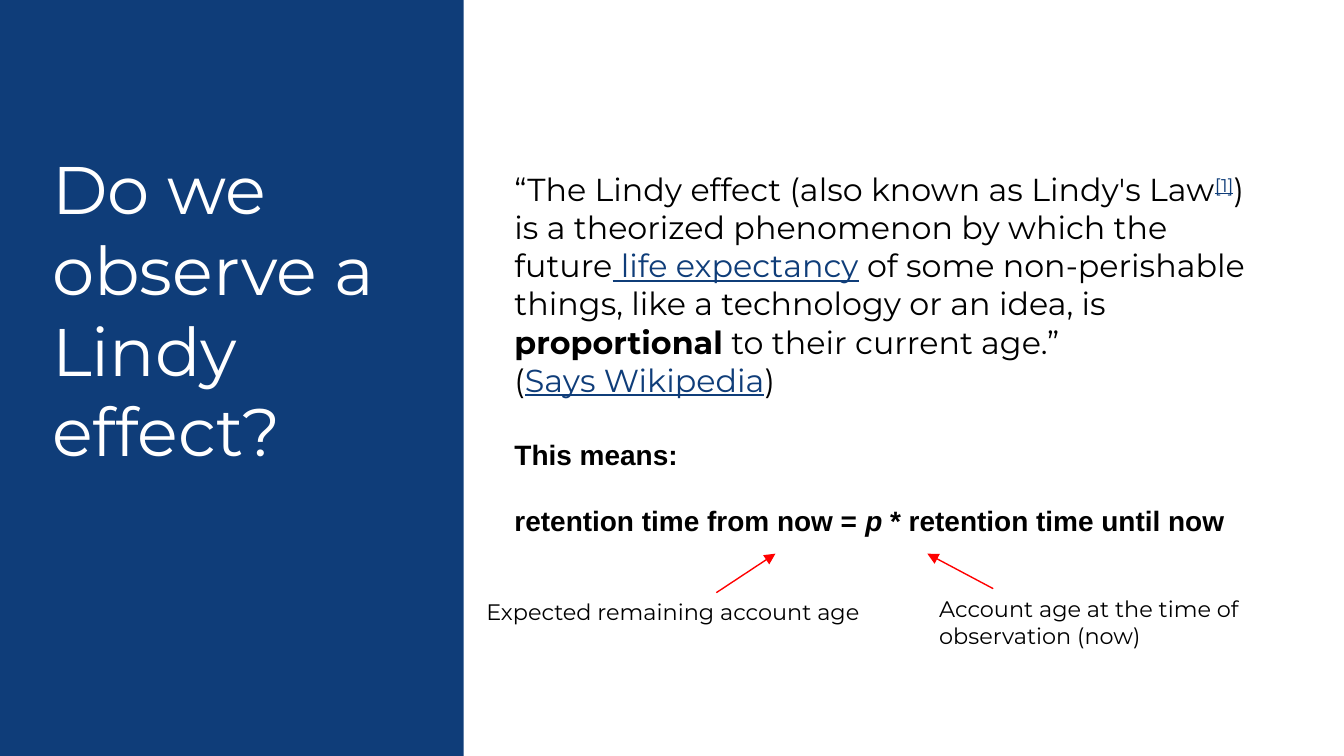
import pptx
import pptx.util
import pptx.dml.color
import pptx.enum.shapes
import pptx.enum.text
import pptx.oxml.ns
import lxml.etree

HUES = {"navy": "0F3D79", "white": "FFFFFF", "black": "000000", "red": "FF0000"}
WIDE = 10
HIGH = WIDE * 9 / 16
LINK = {"hue": "navy", "under": True}

TITLE = [{"runs": [("Do we observe a Lindy effect?", {})]}]
BODY = [
    {"runs": [
        ("“The Lindy effect (also known as Lindy's Law", {}),
        ("[1]", {**LINK, "raised": True}),
        (") is a theorized phenomenon by which the future", {}),
        (" life expectancy", LINK),
        (" of some non-perishable things, like a technology or an idea, is ", {}),
        ("proportional", {"bold": True}),
        (" to their current age.”", {}),
    ]},
    {"runs": [("(", {}), ("Says Wikipedia", LINK), (")", {})]},
    {"gap": 20.7, "size": 15, "face": "Arial", "bold": True,
     "runs": [("This means:", {})]},
    {"gap": 17.5, "size": 15, "face": "Arial", "bold": True,
     "runs": [("retention time from now = ", {}), ("p", {"slant": True}),
              (" * retention time until now", {})]},
]
NOTES = [
    ("Expected remaining account age", (3.52, 4.35, 3.39, 0.4), (5.33, 4.41, 5.77, 4.12)),
    ("Account age at the time of observation (now)", (6.89, 4.33, 2.9, 0.6),
     (7.39, 4.38, 6.9, 4.12)),
]


def inch(*sides):
    return [pptx.util.Inches(side) for side in sides]


def tint(name):
    return pptx.dml.color.RGBColor.from_string(HUES[name])


def style(run, size=12, face="Montserrat", hue="black", bold=False,
          slant=False, under=False, raised=False):
    font = run.font
    font.size, font.name = pptx.util.Pt(size), face
    font.bold, font.italic, font.underline = bold, slant, under
    font.color.rgb = tint(hue)
    if raised:
        run._r.get_or_add_rPr().set("baseline", "30000")


def write(slide, paras, place, anchor="TOP", foot=0.1, **base):
    frame = slide.shapes.add_textbox(*inch(*place)).text_frame
    frame.word_wrap = True
    frame.vertical_anchor = pptx.enum.text.MSO_ANCHOR[anchor]
    frame.margin_left, frame.margin_top, frame.margin_right, frame.margin_bottom = inch(
        0.1, 0.1, 0.1, foot)
    for row, para in enumerate(paras):
        line = frame.add_paragraph() if row else frame.paragraphs[0]
        if "gap" in para:
            line.space_before = pptx.util.Pt(para["gap"])
        look = {key: val for key, val in para.items() if key not in ("runs", "gap")}
        for words, extra in para["runs"]:
            run = line.add_run()
            run.text = words
            style(run, **{**base, **look, **extra})


def arrow(slide, ends):
    line = slide.shapes.add_connector(pptx.enum.shapes.MSO_CONNECTOR.STRAIGHT, *inch(*ends))
    line.line.color.rgb = tint("red")
    line.line.width = pptx.util.Pt(0.75)
    name = pptx.oxml.ns.qn
    tip = lxml.etree.SubElement(line.line._get_or_add_ln(), name("a:tailEnd"))
    tip.set("type", "triangle")
    lxml.etree.SubElement(line._element.spPr, name("a:effectLst"))


def main():
    deck = pptx.Presentation()
    deck.slide_width, deck.slide_height = inch(WIDE, HIGH)
    slide = deck.slides.add_slide(deck.slide_layouts[6])
    slide.background.fill.solid()
    slide.background.fill.fore_color.rgb = tint("navy")

    split = 0.345 * WIDE
    panel = slide.shapes.add_shape(
        pptx.enum.shapes.MSO_SHAPE.RECTANGLE, *inch(split, 0, WIDE - split, HIGH))
    panel.shadow.inherit = False
    panel.fill.solid()
    panel.fill.fore_color.rgb = tint("white")
    panel.line.fill.background()

    write(slide, TITLE, (0.29, 0.13, 2.94, 3.47), anchor="BOTTOM", size=36, hue="white")
    write(slide, BODY, (3.73, 0.77, 5.64, 4.04), anchor="MIDDLE", foot=0.42, size=17)
    for words, place, ends in NOTES:
        arrow(slide, ends)
        write(slide, [{"runs": [(words, {})]}], place)
    deck.save("out.pptx")


if __name__ == "__main__":
    main()
